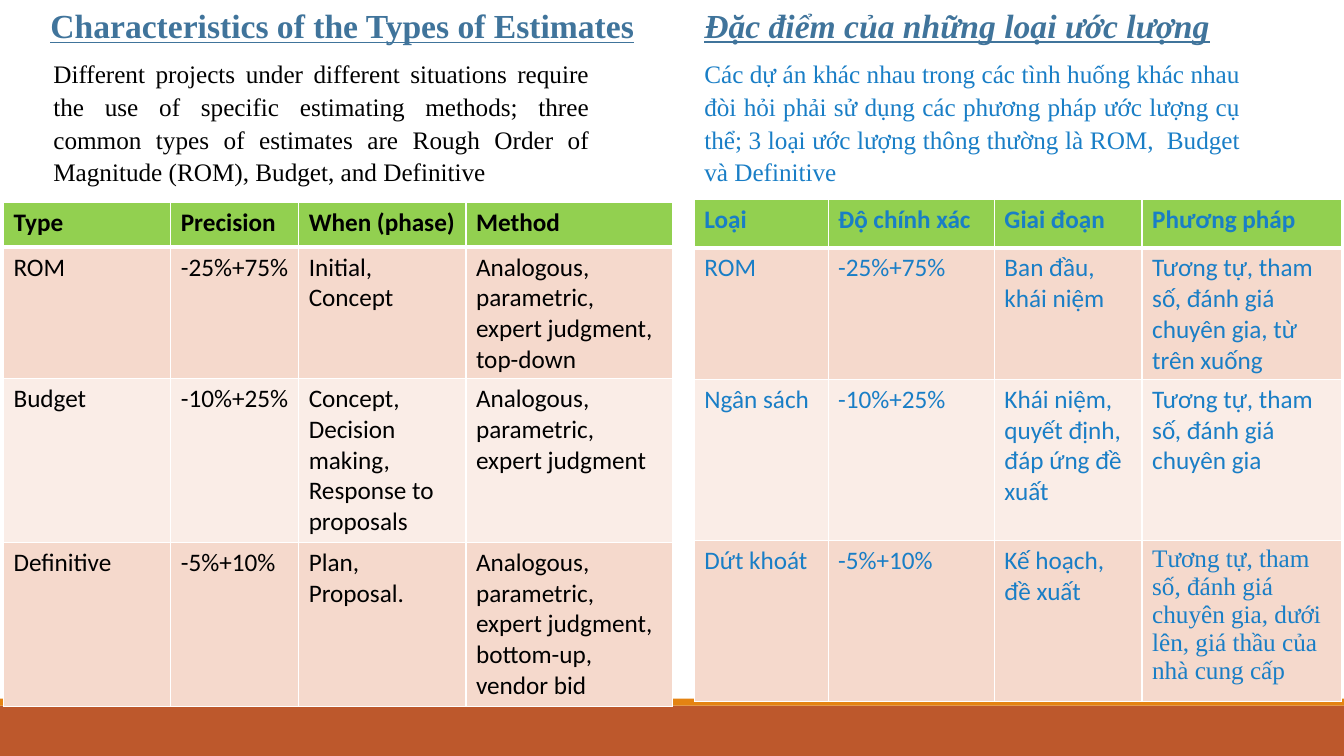
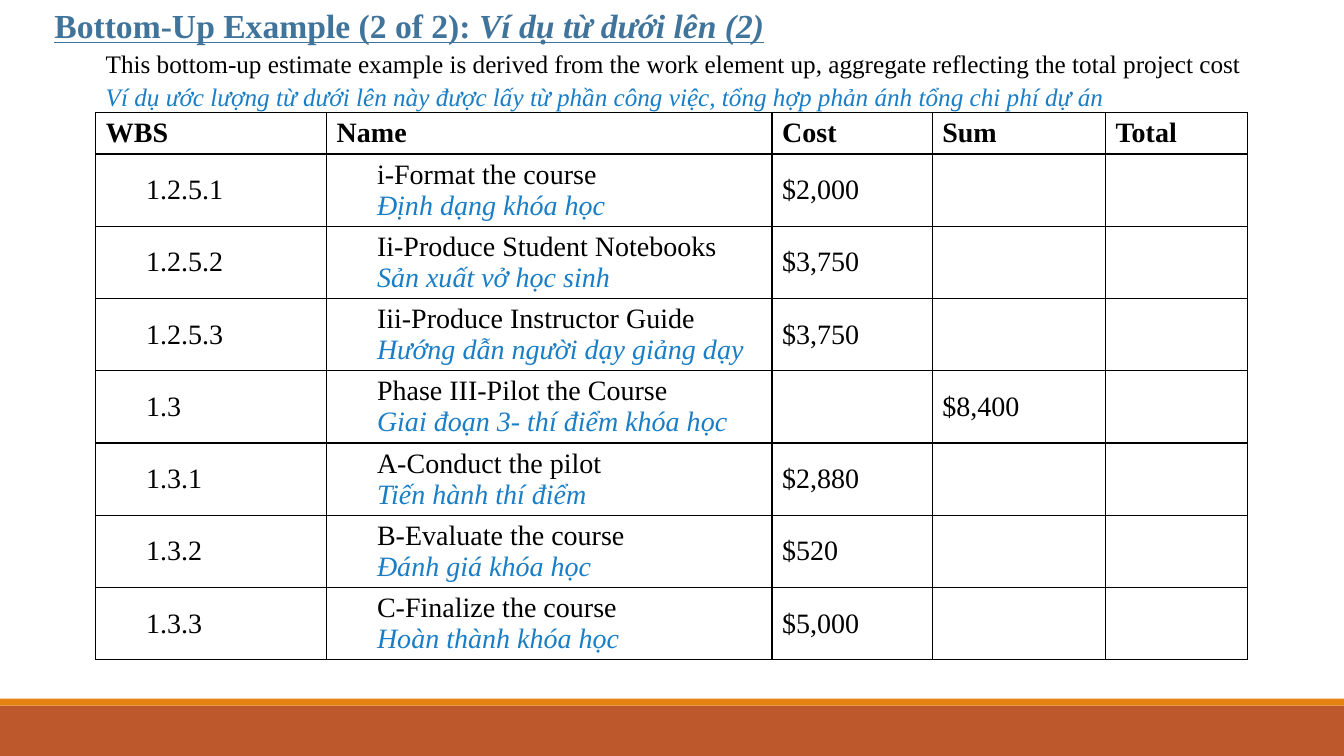
from lxml.etree import SubElement
from pptx import Presentation
from pptx.dml.color import RGBColor
from pptx.enum.shapes import MSO_SHAPE
from pptx.enum.text import MSO_ANCHOR, MSO_AUTO_SIZE, PP_ALIGN
from pptx.oxml.ns import qn
from pptx.util import Pt

SERIF, SANS = "Times New Roman", "Calibri"
BLACK, WHITE, BLUE, HEADING = "000000", "FFFFFF", "197EC6", "40749B"
RUST, ORANGE, GREEN = "BD582C", "E48312", "92D050"
ROW_TINTS = ["F5D9CC", "FAEDE7"]
TITLE_ONLY = 5


def rgb(hex_color):
    return RGBColor.from_string(hex_color)


class Deck:
    """Holds the shared style and the slide being filled.

    Text is a list of paragraphs, each a list of (text, style changes) runs.
    """

    def __init__(self):
        self.deck = Presentation()
        self.deck.slide_width, self.deck.slide_height = Pt(960), Pt(540)
        self.layout = self.deck.slide_layouts[TITLE_ONLY]
        self.slide = None

    def add_slide(self):
        first = self.slide is None
        self.slide = self.deck.slides.add_slide(self.layout)
        if first:
            self.layout_band(504, 36, RUST)
            self.layout_band(499, 5, ORANGE)

    def layout_band(self, top, height, color):
        """Draw a full-width band and move it to the layout, for every slide."""
        band = self.slide.shapes.add_shape(
            MSO_SHAPE.RECTANGLE, 0, Pt(top), self.deck.slide_width, Pt(height))
        band.shadow.inherit = False
        band.fill.solid()
        band.fill.fore_color.rgb = rgb(color)
        band.line.fill.background()
        self.layout.shapes.element.append(band.element)

    def add_text(self, frame, paragraphs, size, font=SERIF, color=BLACK, bold=False,
                 underline=False, align=PP_ALIGN.LEFT, spacing=None):
        frame.word_wrap = True
        for index, runs in enumerate(paragraphs):
            paragraph = frame.add_paragraph() if index else frame.paragraphs[0]
            paragraph.alignment = align
            if spacing:
                paragraph.line_spacing = spacing
            for text, changes in runs:
                run = paragraph.add_run()
                run.text = text
                run.font.size = Pt(size)
                run.font.name = changes.get("font", font)
                run.font.color.rgb = rgb(changes.get("color", color))
                run.font.bold = bold
                run.font.italic = changes.get("italic", False)
                run.font.underline = underline

    def heading(self, shape, left, width, runs):
        shape.left, shape.top = Pt(left), Pt(0)
        shape.width, shape.height = Pt(width), Pt(36)
        shape.text_frame.vertical_anchor = MSO_ANCHOR.TOP
        shape.text_frame.auto_size = MSO_AUTO_SIZE.NONE
        self.add_text(shape.text_frame, [runs], 24, color=HEADING, bold=True,
                      underline=True)

    def title(self, left, width, runs):
        self.heading(self.slide.shapes.title, left, width, runs)

    def second_title(self, left, width, runs):
        self.heading(self.slide.shapes.add_textbox(0, 0, 0, 0), left, width, runs)

    def intro(self, left, top, width, height, paragraphs, color=BLACK):
        box = self.slide.shapes.add_textbox(Pt(left), Pt(top), Pt(width), Pt(height))
        self.add_text(box.text_frame, paragraphs, 18, color=color,
                      align=PP_ALIGN.JUSTIFY, spacing=1.08)

    def grid(self, left, top, widths, heights):
        table = self.slide.shapes.add_table(
            len(heights), len(widths), Pt(left), Pt(top),
            Pt(sum(widths)), Pt(sum(heights))).table
        table.first_row = table.horz_banding = False
        for column, width in zip(table.columns, widths):
            column.width = Pt(width)
        for row, height in zip(table.rows, heights):
            row.height = Pt(height)
        return table

    def borders(self, cell, color, top=1, bottom=1):
        properties = cell._tc.get_or_add_tcPr()
        for side, width in zip("LRTB", [1, 1, top, bottom]):
            line = SubElement(properties, qn(f"a:ln{side}"), w=str(Pt(width)))
            fill = SubElement(line, qn("a:solidFill"))
            SubElement(fill, qn("a:srgbClr"), val=color)

    def estimate_table(self, left, top, widths, heights, rows, color):
        table = self.grid(left, top, widths, heights)
        for r, row in enumerate(rows):
            for c, content in enumerate(row):
                cell = table.cell(r, c)
                header = r == 0
                self.borders(cell, WHITE, top=3 if r == 1 else 1, bottom=3 if header else 1)
                cell.fill.solid()
                cell.fill.fore_color.rgb = rgb(GREEN if header else ROW_TINTS[(r - 1) % 2])
                run = content if isinstance(content, tuple) else (content, {})
                self.add_text(cell.text_frame, [[run]], 18, SANS, color, bold=header)

    def cost_table(self, left, top, widths, heights, header, rows):
        table = self.grid(left, top, widths, heights)
        for r, row in enumerate([header, *rows]):
            for c, content in enumerate(row):
                cell = table.cell(r, c)
                self.borders(cell, BLACK)
                cell.fill.background()
                cell.vertical_anchor = MSO_ANCHOR.MIDDLE
                if r and c < 2:
                    cell.margin_left = Pt(36)
                if content:
                    lines = content if isinstance(content, list) else [[(content, {})]]
                    self.add_text(cell.text_frame, lines, 20, bold=r == 0)


ITALIC = {"italic": True}
TRANSLATION = {"italic": True, "color": BLUE}

ESTIMATES_EN = [
    ["Type", "Precision", "When (phase)", "Method"],
    ["ROM", "-25%+75%", "Initial, Concept",
     "Analogous, parametric, expert judgment, top-down"],
    ["Budget", "-10%+25%", "Concept, Decision making, Response to proposals",
     "Analogous, parametric, expert judgment"],
    ["Definitive", "-5%+10%", "Plan, Proposal.",
     "Analogous, parametric, expert judgment, bottom-up, vendor bid"],
]
ESTIMATES_VI = [
    ["Loại", "Độ chính xác", "Giai đoạn", "Phương pháp"],
    ["ROM", "-25%+75%", "Ban đầu, khái niệm",
     "Tương tự, tham số, đánh giá chuyên gia, từ trên xuống"],
    ["Ngân sách", "-10%+25%", "Khái niệm, quyết định, đáp ứng đề xuất",
     "Tương tự, tham số, đánh giá chuyên gia"],
    ["Dứt khoát", "-5%+10%", "Kế hoạch, đề xuất",
     ("Tương tự, tham số, đánh giá chuyên gia, dưới lên, giá thầu của nhà cung cấp",
      {"font": SERIF})],
]
COST_HEADER = ["WBS", "Name", "Cost", "Sum", "Total"]
WORK_ELEMENTS = [
    ("1.2.5.1", "i-Format the course", "Định dạng khóa học", "$2,000", ""),
    ("1.2.5.2", "Ii-Produce Student Notebooks", "Sản xuất vở học sinh", "$3,750", ""),
    ("1.2.5.3", "Iii-Produce Instructor Guide", "Hướng dẫn người dạy giảng dạy",
     "$3,750", ""),
    ("1.3", "Phase III-Pilot the Course", "Giai đoạn 3- thí điểm khóa học", "", "$8,400"),
    ("1.3.1", "A-Conduct the pilot", "Tiến hành thí điểm", "$2,880", ""),
    ("1.3.2", "B-Evaluate the course", "Đánh giá khóa học", "$520", ""),
    ("1.3.3", "C-Finalize the course", "Hoàn thành khóa học", "$5,000", ""),
]


def estimate_types(deck):
    deck.add_slide()
    deck.title(28.8, 438.5, [("Characteristics of the Types of Estimates", {})])
    deck.second_title(496, 397, [("Đặc điểm của những loại ước lượng", ITALIC)])
    deck.intro(31, 36.7, 397, 94.3, [[(
        "Different projects under different situations require the use of specific "
        "estimating methods; three common types of estimates are Rough Order of "
        "Magnitude (ROM), Budget, and Definitive", {})]])
    deck.intro(496, 36.7, 397, 94.3, [[(
        "Các dự án khác nhau trong các tình huống khác nhau đòi hỏi phải sử dụng các "
        "phương pháp ước lượng cụ thể; 3 loại ước lượng thông thường là ROM,  Budget "
        "và Definitive", {})]], BLUE)
    deck.estimate_table(2.5, 144.7, [119.5, 91.4, 119.5, 147.5], [31.7, 94, 117, 117],
                        ESTIMATES_EN, BLACK)
    deck.estimate_table(496, 142.5, [95.5, 118.8, 105.5, 142.3], [34.5, 94, 115, 115],
                        ESTIMATES_VI, BLUE)


def bottom_up_example(deck):
    deck.add_slide()
    deck.title(31.7, 612.7, [("Bottom-Up Example (2 of 2): ", {}),
                             ("Ví dụ từ dưới lên (2)", ITALIC)])
    rows = [[wbs, [[(name, {})], [(translated, TRANSLATION)]], cost, phase_sum, ""]
            for wbs, name, translated, cost, phase_sum in WORK_ELEMENTS]
    deck.cost_table(68.4, 80.5, [164.9, 318.2, 114.4, 123.8, 101.5],
                    [29.5] + [51.6] * len(rows), COST_HEADER, rows)
    deck.intro(68.4, 29.5, 841, 51, [
        [("This bottom-up estimate example is derived from the work element up, "
          "aggregate reflecting the total project cost", {})],
        [("Ví dụ ước lượng từ dưới lên này được lấy từ phần công việc, tổng hợp "
          "phản ánh tổng chi phí dự án", TRANSLATION)]])


def main():
    deck = Deck()
    estimate_types(deck)
    bottom_up_example(deck)
    deck.deck.save("out.pptx")


if __name__ == "__main__":
    main()
